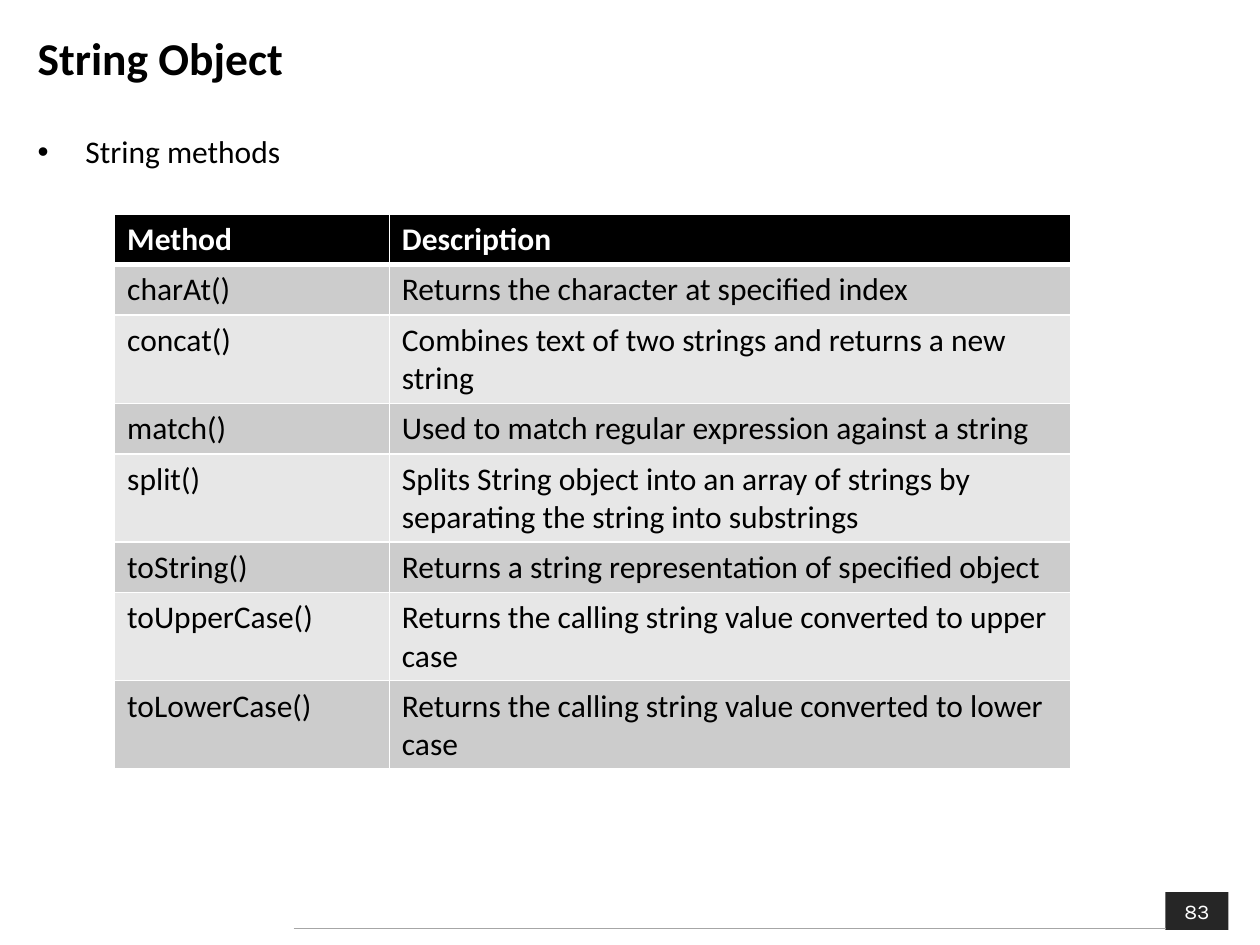
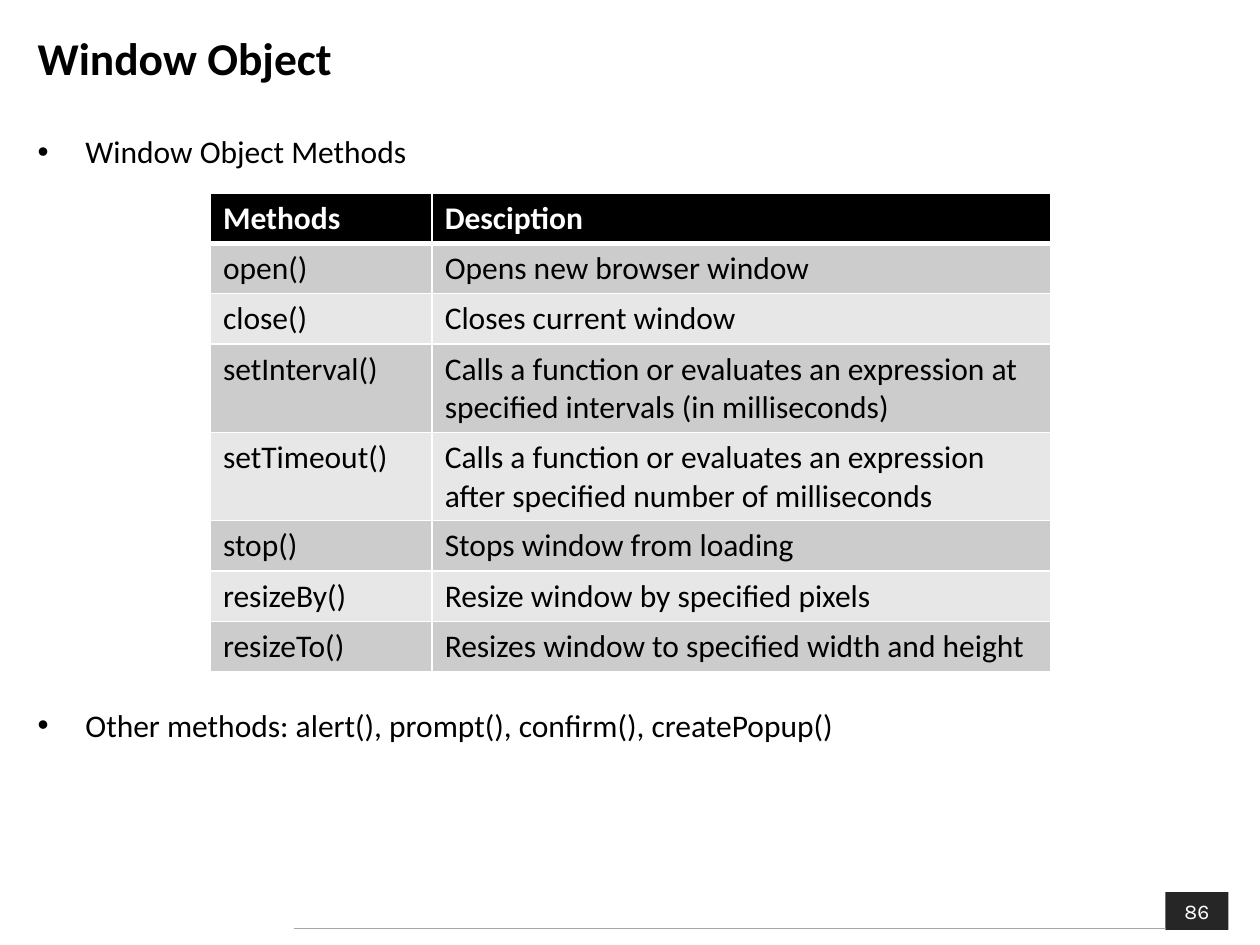
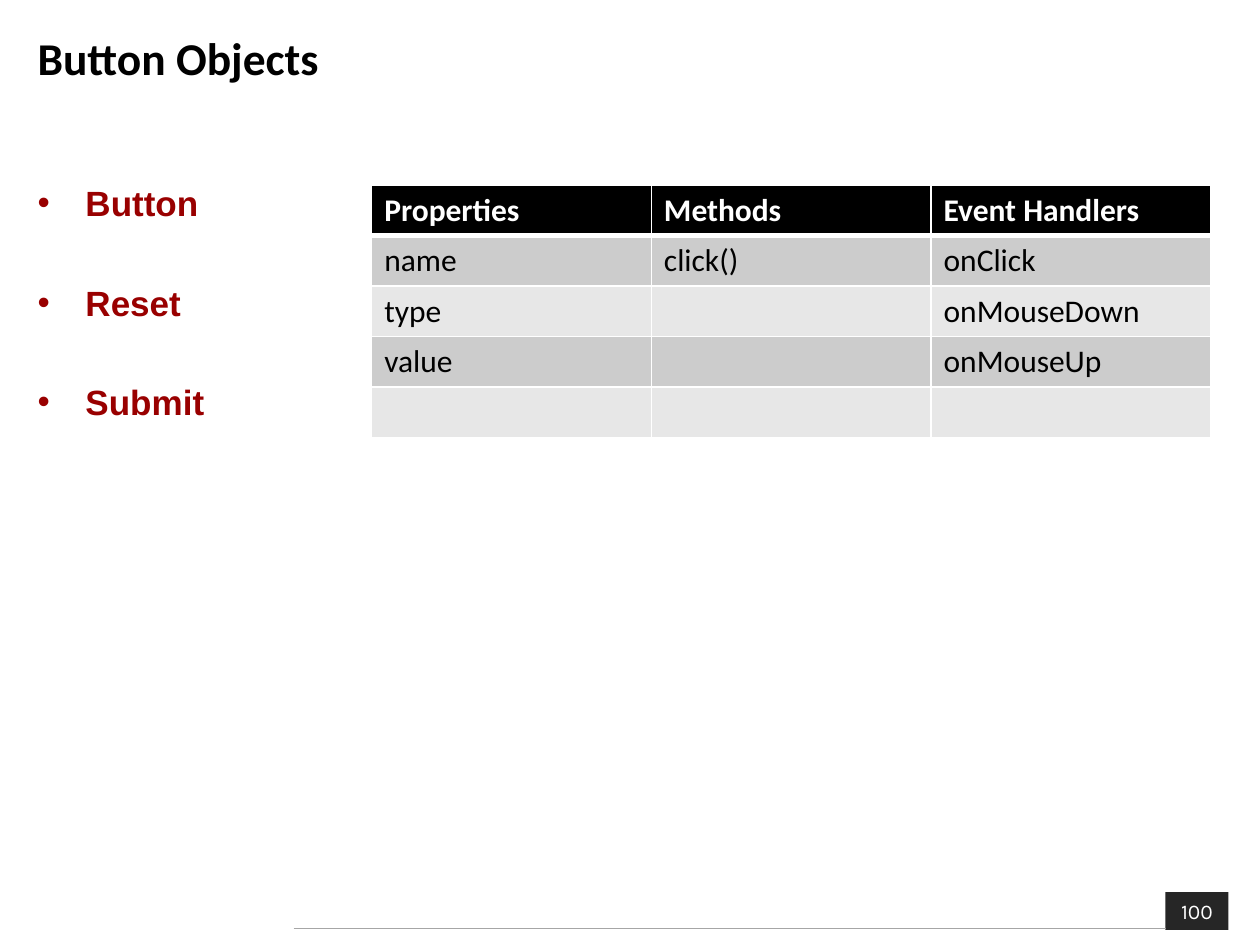
"""Build three slides on the methods and properties of script objects."""
from dataclasses import dataclass

from lxml.etree import SubElement
from pptx import Presentation
from pptx.dml.color import RGBColor
from pptx.enum.shapes import MSO_CONNECTOR, MSO_SHAPE
from pptx.enum.text import MSO_ANCHOR, PP_ALIGN
from pptx.oxml.ns import qn
from pptx.slide import Slide
from pptx.table import _Cell
from pptx.text.text import TextFrame, _Paragraph
from pptx.util import Inches, Pt

BLACK, WHITE = "000000", "FFFFFF"
DARK_BAND, LIGHT_BAND = "CCCCCC", "E7E7E7"
PAGE_FILL, RULE, EMPHASIS = "262626", "A6A6A6", "990000"
ROW_HEIGHT, WRAPPED_ROW_HEIGHT = 0.4, 0.7
GRID_LINE, HEADER_LINE = 1, 3
HANGING_INDENT = 0.38


@dataclass(frozen=True)
class TextStyle:
    """Font settings of a paragraph."""

    size: int
    color: str = BLACK
    bold: bool = False
    font: str = "Calibri"


@dataclass(frozen=True)
class Bullets:
    """Bulleted lines with the gap between them in points."""

    lines: tuple[str, ...]
    style: TextStyle
    gap: int = 0
    top_inset: float = 0.07


@dataclass(frozen=True)
class Grid:
    """A table whose first row is its header."""

    left: float
    top: float
    columns: tuple[float, ...]
    rows: tuple[tuple[str, ...], ...]
    wrapped: tuple[int, ...] = ()


@dataclass(frozen=True)
class Topic:
    """The content of one slide."""

    title: str
    page: int
    bullets: Bullets
    grid: Grid


TITLE = TextStyle(26, bold=True)
BODY = TextStyle(18)
HEADER = TextStyle(18, WHITE, True)
BUTTON_TYPE = TextStyle(20, EMPHASIS, True, "Arial")
PAGE_NUMBER = TextStyle(12, WHITE, font="Karla")

TOPICS = (
    Topic(
        "String Object",
        83,
        Bullets(("String methods",), BODY),
        Grid(0.91, 1.7, (2.18, 5.41), (
            ("Method", "Description"),
            ("charAt()", "Returns the character at specified index"),
            ("concat()", "Combines text of two strings and returns a new string"),
            ("match()", "Used to match regular expression against a string"),
            ("split()", "Splits String object into an array of strings by "
                        "separating the string into substrings"),
            ("toString()", "Returns a string representation of specified object"),
            ("toUpperCase()", "Returns the calling string value converted to upper case"),
            ("toLowerCase()", "Returns the calling string value converted to lower case"),
        ), wrapped=(2, 4, 6, 7)),
    ),
    Topic(
        "Window Object",
        86,
        Bullets((
            "Window Object Methods",
            "Other methods: alert(), prompt(), confirm(), createPopup()",
        ), BODY, gap=306),
        Grid(1.67, 1.53, (1.76, 4.91), (
            ("Methods", "Desciption"),
            ("open()", "Opens new browser window"),
            ("close()", "Closes current window"),
            ("setInterval()", "Calls a function or evaluates an expression at "
                              "specified intervals (in milliseconds)"),
            ("setTimeout()", "Calls a function or evaluates an expression "
                             "after specified number of milliseconds"),
            ("stop()", "Stops window from loading"),
            ("resizeBy()", "Resize window by specified pixels"),
            ("resizeTo()", "Resizes window to specified width and height"),
        ), wrapped=(3, 4)),
    ),
    Topic(
        "Button Objects",
        100,
        Bullets(("Button", "Reset", "Submit"), BUTTON_TYPE, gap=33, top_inset=0.46),
        Grid(2.95, 1.47, (2.22, 2.22, 2.22), (
            ("Properties", "Methods", "Event Handlers"),
            ("name", "click()", "onClick"),
            ("type", "", "onMouseDown"),
            ("value", "", "onMouseUp"),
            ("", "", ""),
        )),
    ),
)


def rgb(color: str) -> RGBColor:
    """Turn a hex string into a colour."""
    return RGBColor.from_string(color)


def write(paragraph: _Paragraph, text: str, style: TextStyle) -> None:
    """Fill a paragraph with styled text."""
    paragraph.text = text
    font = paragraph.font
    font.name = style.font
    font.size = Pt(style.size)
    font.bold = style.bold
    font.color.rgb = rgb(style.color)


def add_bullet(paragraph: _Paragraph) -> None:
    """Give a paragraph a round bullet and a hanging indent."""
    properties = paragraph._p.get_or_add_pPr()
    properties.set("marL", str(Inches(HANGING_INDENT)))
    properties.set("indent", str(-Inches(HANGING_INDENT)))
    SubElement(properties, qn("a:buFont"), typeface="Arial")
    SubElement(properties, qn("a:buChar"), char="•")


def add_text_area(slide: Slide, top: float, height: float) -> TextFrame:
    """Add a wrapping text area across the slide."""
    area = slide.shapes.add_textbox(Inches(0.2), Inches(top), Inches(9.65), Inches(height))
    area.text_frame.word_wrap = True
    return area.text_frame


def add_title(slide: Slide, title: str) -> None:
    """Add the slide title."""
    frame = add_text_area(slide, 0.15, 0.61)
    frame.vertical_anchor = MSO_ANCHOR.MIDDLE
    write(frame.paragraphs[0], title, TITLE)


def add_bullets(slide: Slide, bullets: Bullets) -> None:
    """Add the bulleted body text."""
    frame = add_text_area(slide, 0.98, 5.76)
    frame.margin_top = Inches(bullets.top_inset)
    for index, line in enumerate(bullets.lines):
        paragraph = frame.add_paragraph() if index else frame.paragraphs[0]
        add_bullet(paragraph)
        paragraph.space_before = Pt(bullets.gap if index else 0)
        write(paragraph, line, bullets.style)


def add_borders(cell: _Cell, top: int, bottom: int) -> None:
    """Draw white borders around a cell, with widths in points."""
    properties = cell._tc.get_or_add_tcPr()
    widths = {"lnL": GRID_LINE, "lnR": GRID_LINE, "lnT": top, "lnB": bottom}
    for side, width in widths.items():
        border = SubElement(properties, qn(f"a:{side}"), w=str(Pt(width)))
        fill = SubElement(border, qn("a:solidFill"))
        SubElement(fill, qn("a:srgbClr"), val=WHITE)


def add_grid(slide: Slide, grid: Grid) -> None:
    """Add a table with a black header and banded rows."""
    heights = [WRAPPED_ROW_HEIGHT if index in grid.wrapped else ROW_HEIGHT
               for index in range(len(grid.rows))]
    table = slide.shapes.add_table(
        len(grid.rows), len(grid.columns), Inches(grid.left), Inches(grid.top),
        Inches(sum(grid.columns)), Inches(sum(heights))).table
    for column, width in zip(table.columns, grid.columns):
        column.width = Inches(width)
    for index, (row, height, texts) in enumerate(zip(table.rows, heights, grid.rows)):
        row.height = Inches(height)
        band = BLACK if index == 0 else DARK_BAND if index % 2 else LIGHT_BAND
        for cell, text in zip(row.cells, texts):
            add_borders(cell, HEADER_LINE if index == 1 else GRID_LINE,
                        GRID_LINE if index else HEADER_LINE)
            cell.fill.solid()
            cell.fill.fore_color.rgb = rgb(band)
            write(cell.text_frame.paragraphs[0], text, BODY if index else HEADER)


def add_footer(slide: Slide, page: int) -> None:
    """Add the page number block and the rule leading to it."""
    block = slide.shapes.add_shape(
        MSO_SHAPE.RECTANGLE, Inches(9.25), Inches(7.08), Inches(0.5), Inches(0.3))
    block.shadow.inherit = False
    block.fill.solid()
    block.fill.fore_color.rgb = rgb(PAGE_FILL)
    block.line.fill.background()
    number = block.text_frame.paragraphs[0]
    number.alignment = PP_ALIGN.CENTER
    write(number, str(page), PAGE_NUMBER)

    rule = slide.shapes.add_connector(
        MSO_CONNECTOR.STRAIGHT, Inches(2.33), Inches(7.37), Inches(9.25), Inches(7.37))
    rule.line.color.rgb = rgb(RULE)
    rule.line.width = Pt(0.75)
    SubElement(rule._element.spPr, qn("a:effectLst"))


def main() -> None:
    """Build and save the presentation."""
    presentation = Presentation()
    presentation.slide_width = Inches(10)
    presentation.slide_height = Inches(7.5)
    for topic in TOPICS:
        slide = presentation.slides.add_slide(presentation.slide_layouts[6])
        add_footer(slide, topic.page)
        add_bullets(slide, topic.bullets)
        add_title(slide, topic.title)
        add_grid(slide, topic.grid)
    presentation.save("out.pptx")


if __name__ == "__main__":
    main()
